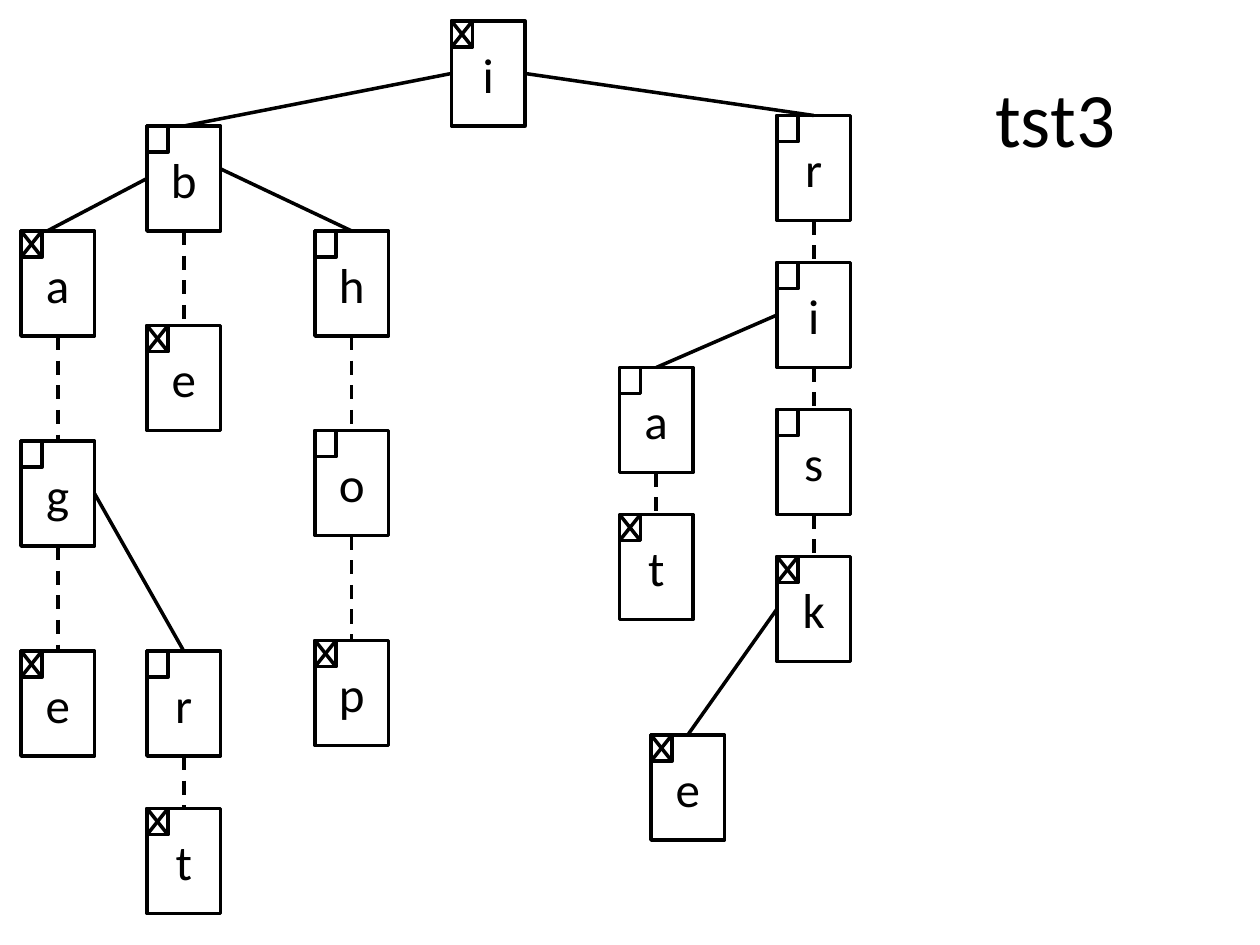
from lxml.etree import SubElement
from pptx import Presentation
from pptx.dml.color import RGBColor
from pptx.enum.dml import MSO_LINE
from pptx.enum.shapes import MSO_CONNECTOR, MSO_SHAPE
from pptx.enum.text import MSO_ANCHOR, PP_ALIGN
from pptx.oxml.ns import qn
from pptx.util import Pt

TOP, LEFT, BOTTOM, RIGHT = range(4)
NODE_W, NODE_H = 42, 60
FLAG_W, FLAG_H = 12, 15

NODES = {
    "root": ("i", 258, 12, True),
    "b": ("b", 84, 72, False),
    "be": ("e", 84, 186, True),
    "ba": ("a", 12, 132, True),
    "bag": ("g", 12, 252, False),
    "bage": ("e", 12, 372, True),
    "bar": ("r", 84, 372, False),
    "bart": ("t", 84, 462, True),
    "h": ("h", 180, 132, False),
    "ho": ("o", 180, 246, False),
    "hop": ("p", 180, 366, True),
    "r": ("r", 444, 66, False),
    "ri": ("i", 444, 150, False),
    "ris": ("s", 444, 234, False),
    "risk": ("k", 444, 318, True),
    "ra": ("a", 354, 210, False),
    "rat": ("t", 354, 294, True),
    "riske": ("e", 372, 420, True),
}
SIDE_LINKS = [
    ("root", LEFT, "b"), ("root", RIGHT, "r"), ("ri", LEFT, "ra"),
    ("bag", RIGHT, "bar"), ("risk", LEFT, "riske"),
]
MIDDLE_LINKS = [
    ("b", "be"), ("ba", "bag"), ("bag", "bage"), ("bar", "bart"),
    ("h", "ho"), ("ho", "hop"), ("r", "ri"), ("ri", "ris"),
    ("ris", "risk"), ("ra", "rat"),
]


def rgb(value):
    return RGBColor.from_string(value)


class TreeSlide:
    """Draws a ternary search tree on one slide in a single style."""

    font, ink, line_width = "Calibri", "000000", 2

    def __init__(self, prs):
        self.s = prs.slides.add_slide(prs.slide_layouts[5])

    def text(self, tf, text, size):
        tf.vertical_anchor = MSO_ANCHOR.MIDDLE
        p = tf.paragraphs[0]
        p.alignment = PP_ALIGN.CENTER
        r = p.add_run()
        r.text = text
        r.font.name, r.font.size = self.font, Pt(size)
        r.font.color.rgb = rgb(self.ink)

    def title(self, text, x, y, w, h):
        sp = self.s.shapes.title
        sp.left, sp.top, sp.width, sp.height = Pt(x), Pt(y), Pt(w), Pt(h)
        self.text(sp.text_frame, text, 44)

    def outline(self, sp):
        sp.line.color.rgb = rgb(self.ink)
        sp.line.width = Pt(self.line_width)

    def box(self, x, y, w, h):
        sp = self.s.shapes.add_shape(MSO_SHAPE.RECTANGLE, Pt(x), Pt(y), Pt(w), Pt(h))
        sp.shadow.inherit = False
        sp.fill.background()
        self.outline(sp)
        return sp

    def line(self, x1, y1, x2, y2, dashed=False):
        sp = self.s.shapes.add_connector(
            MSO_CONNECTOR.STRAIGHT, Pt(x1), Pt(y1), Pt(x2), Pt(y2))
        self.outline(sp)
        if dashed:
            sp.line.dash_style = MSO_LINE.DASH
        SubElement(sp._element.spPr, qn("a:effectLst"))
        return sp

    def node(self, letter, x, y, ends_word):
        sp = self.box(x, y, NODE_W, NODE_H)
        self.text(sp.text_frame, letter, 28)
        self.box(x, y, FLAG_W, FLAG_H)
        if ends_word:
            self.line(x, y, x + FLAG_W, y + FLAG_H)
            self.line(x + FLAG_W, y, x, y + FLAG_H)
        return sp

    def link(self, parent, side, child, dashed=False):
        sp = self.line(0, 0, 0, 0, dashed)
        sp.begin_connect(parent, side)
        sp.end_connect(child, TOP)


def main():
    prs = Presentation()
    prs.slide_width, prs.slide_height = Pt(720), Pt(540)
    tree = TreeSlide(prs)
    tree.title("tst3", 522, 21.6, 162, 90)
    nodes = {name: tree.node(*values) for name, values in NODES.items()}
    for parent, side, child in SIDE_LINKS:
        tree.link(nodes[parent], side, nodes[child])
    for parent, child in MIDDLE_LINKS:
        tree.link(nodes[parent], BOTTOM, nodes[child], dashed=True)
    tree.line(27, 132, 84, 102).end_connect(nodes["b"], LEFT)
    tree.line(201, 132, 126, 96.5).begin_connect(nodes["h"], TOP)
    prs.save("out.pptx")


if __name__ == "__main__":
    main()
